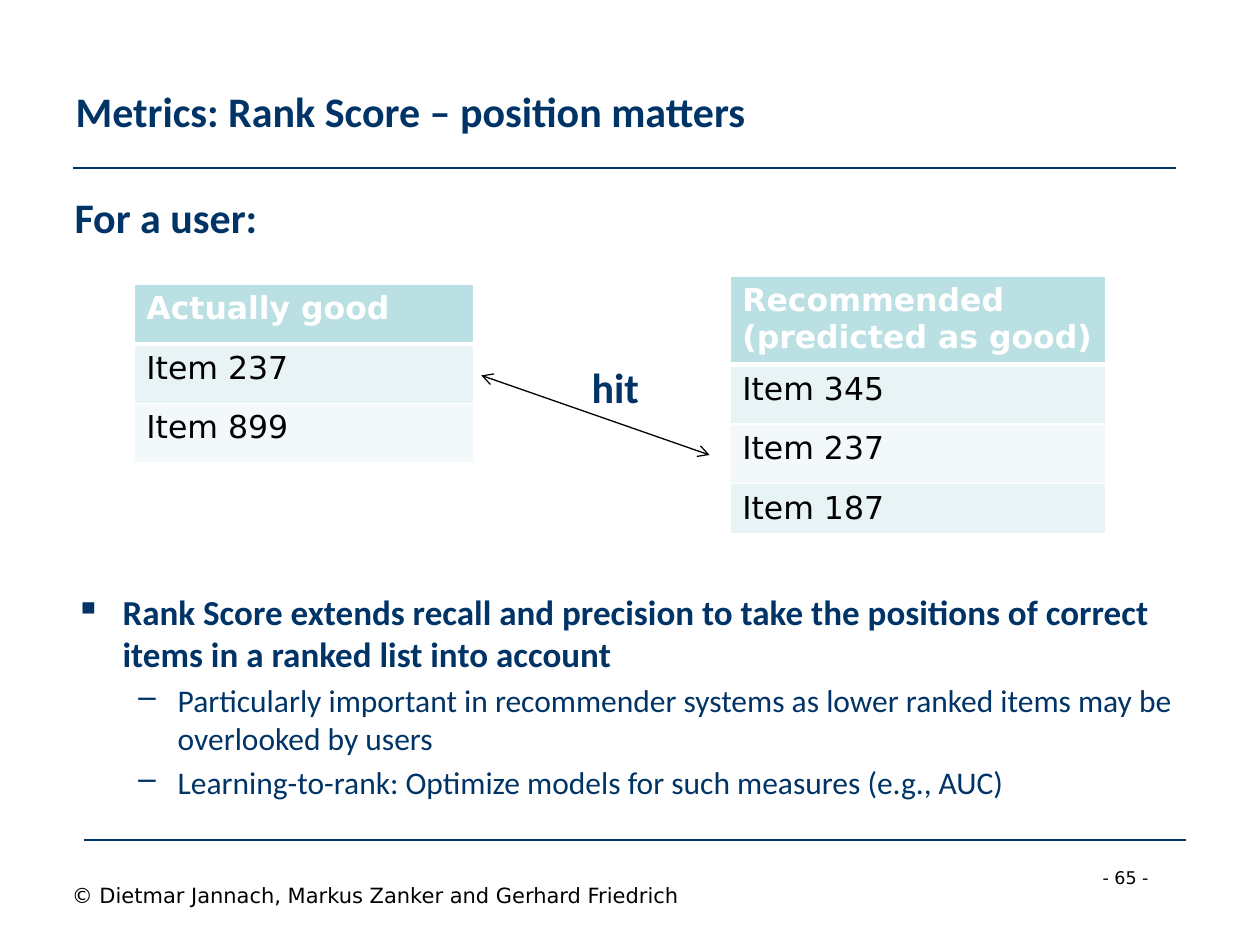
from dataclasses import dataclass

from lxml import etree
from pptx import Presentation
from pptx.dml.color import RGBColor
from pptx.enum.shapes import MSO_CONNECTOR
from pptx.enum.text import MSO_ANCHOR, MSO_AUTO_SIZE, PP_ALIGN
from pptx.oxml.ns import qn
from pptx.util import Pt

STRAIGHT = MSO_CONNECTOR.STRAIGHT
MIDDLE = MSO_ANCHOR.MIDDLE
FIT_SHAPE = MSO_AUTO_SIZE.SHAPE_TO_FIT_TEXT
LEFT = PP_ALIGN.LEFT
HEAD_FONT, PLAIN_FONT = "Calibri", "DejaVu Sans"
NAVY, BLACK, WHITE = "003366", "000000", "FFFFFF"
HEADER_FILL = "BBE0E3"
BAND_FILLS = ("E7F3F4", "F3F9FA")


@dataclass
class Label:
    text: str
    box: tuple[float, float, float, float]
    size: float
    font: str = HEAD_FONT
    color: str = NAVY
    bold: bool = True
    wrap: bool = False


@dataclass
class Line:
    start: tuple[float, float]
    end: tuple[float, float]
    color: str = NAVY
    arrows: bool = False


@dataclass
class Bullet:
    text: str
    level: int = 0


@dataclass
class ItemTable:
    left: float
    top: float
    width: float
    rows: list[str]
    heights: list[float]


@dataclass
class BulletStyle:
    char: str
    margin: float
    indent: float
    before: float
    size: float
    bold: bool


BULLET_STYLES = [
    BulletStyle("▪", 27, -27, 12, 20, True),
    BulletStyle("–", 58.5, -22.5, 3.6, 18, False),
]
LABELS = [
    Label("- 65 -", (623, 492, 55, 19.5), 10, PLAIN_FONT, BLACK, False),
    Label("© Dietmar Jannach, Markus Zanker and Gerhard Friedrich",
          (34, 500.5, 456.5, 21.5), 12, PLAIN_FONT, BLACK, False, True),
    Label("For a user:", (35.5, 106, 120, 36), 24),
    Label("hit", (331, 203, 42, 36), 24),
]
LINES = [
    Line((42, 96), (672, 96)),
    Line((48, 480), (678, 480)),
    Line((275, 214.5), (405.5, 260), BLACK, True),
]
TABLES = [
    ItemTable(76.5, 162.5, 194.5, ["Actually good", "Item 237", "Item 899"],
              [34, 34, 34]),
    ItemTable(417, 158, 215, ["Recommended\n(predicted as good)", "Item 345",
                              "Item 237", "Item 187"], [48, 34, 34, 28]),
]
BULLETS = [
    Bullet("Rank Score extends recall and precision to take the positions of "
           "correct items in a ranked list into account"),
    Bullet("Particularly important in recommender systems as lower ranked "
           "items may be overlooked by users", 1),
    Bullet("Learning-to-rank: Optimize models for such measures (e.g., AUC)", 1),
]


def rgb(color: str) -> RGBColor:
    return RGBColor.from_string(color)


def set_font(p, name: str, size: float, color: str, bold: bool) -> None:
    f = p.font
    f.name, f.size, f.bold = name, Pt(size), bold
    f.color.rgb = rgb(color)


def add_label(s, label: Label) -> None:
    tf = s.shapes.add_textbox(*map(Pt, label.box)).text_frame
    tf.word_wrap = label.wrap
    tf.auto_size = FIT_SHAPE
    p = tf.paragraphs[0]
    p.text = label.text
    set_font(p, label.font, label.size, label.color, label.bold)


def add_line(s, line: Line) -> None:
    sp = s.shapes.add_connector(STRAIGHT, *map(Pt, line.start + line.end))
    sp.line.color.rgb = rgb(line.color)
    sp.line.width = Pt(0.75)
    if line.arrows:
        ln = sp.line._get_or_add_ln()
        for tag in ("a:headEnd", "a:tailEnd"):
            etree.SubElement(ln, qn(tag), type="arrow")
    etree.SubElement(sp._element.spPr, qn("a:effectLst"))


def set_borders(cell, top: float, bottom: float) -> None:
    tc_pr = cell._tc.get_or_add_tcPr()
    for side, width in zip("LRTB", (1, 1, top, bottom)):
        ln = etree.SubElement(tc_pr, qn(f"a:ln{side}"), w=str(Pt(width)))
        fill = etree.SubElement(ln, qn("a:solidFill"))
        etree.SubElement(fill, qn("a:srgbClr"), val=WHITE)


def add_item_table(s, t: ItemTable) -> None:
    box = (t.left, t.top, t.width, sum(t.heights))
    table = s.shapes.add_table(len(t.rows), 1, *map(Pt, box)).table
    for i, (text, height) in enumerate(zip(t.rows, t.heights)):
        header = i == 0
        table.rows[i].height = Pt(height)
        cell = table.cell(i, 0)
        set_borders(cell, 3 if i == 1 else 1, 3 if header else 1)
        cell.fill.solid()
        cell.fill.fore_color.rgb = rgb(
            HEADER_FILL if header else BAND_FILLS[(i - 1) % 2])
        cell.text = text
        for p in cell.text_frame.paragraphs:
            set_font(p, PLAIN_FONT, 18, WHITE if header else BLACK, header)


def add_bullets(s, bullets: list[Bullet]) -> None:
    tf = s.shapes.add_textbox(Pt(36), Pt(334), Pt(648), Pt(150)).text_frame
    tf.word_wrap = True
    for i, bullet in enumerate(bullets):
        style = BULLET_STYLES[bullet.level]
        p = tf.paragraphs[0] if i == 0 else tf.add_paragraph()
        p.text = bullet.text
        p.level = bullet.level
        p_pr = p._p.get_or_add_pPr()
        p_pr.set("marL", str(Pt(style.margin)))
        p_pr.set("indent", str(Pt(style.indent)))
        etree.SubElement(p_pr, qn("a:buChar"), char=style.char)
        if i > 0:
            p.space_before = Pt(style.before)
        set_font(p, HEAD_FONT, style.size, NAVY, style.bold)


def set_title(s, text: str) -> None:
    sp = s.shapes.title
    sp.left, sp.top, sp.width, sp.height = map(Pt, (36, 18, 648, 90))
    tf = sp.text_frame
    tf.vertical_anchor = MIDDLE
    p = tf.paragraphs[0]
    p.text = text
    p.alignment = LEFT
    set_font(p, HEAD_FONT, 24, NAVY, True)


def main() -> None:
    prs = Presentation()
    prs.slide_width, prs.slide_height = Pt(720), Pt(540)
    s = prs.slides.add_slide(prs.slide_layouts[5])
    set_title(s, "Metrics: Rank Score – position matters")
    add_bullets(s, BULLETS)
    for t in TABLES:
        add_item_table(s, t)
    for label in LABELS:
        add_label(s, label)
    for line in LINES:
        add_line(s, line)
    prs.save("out.pptx")


if __name__ == "__main__":
    main()
